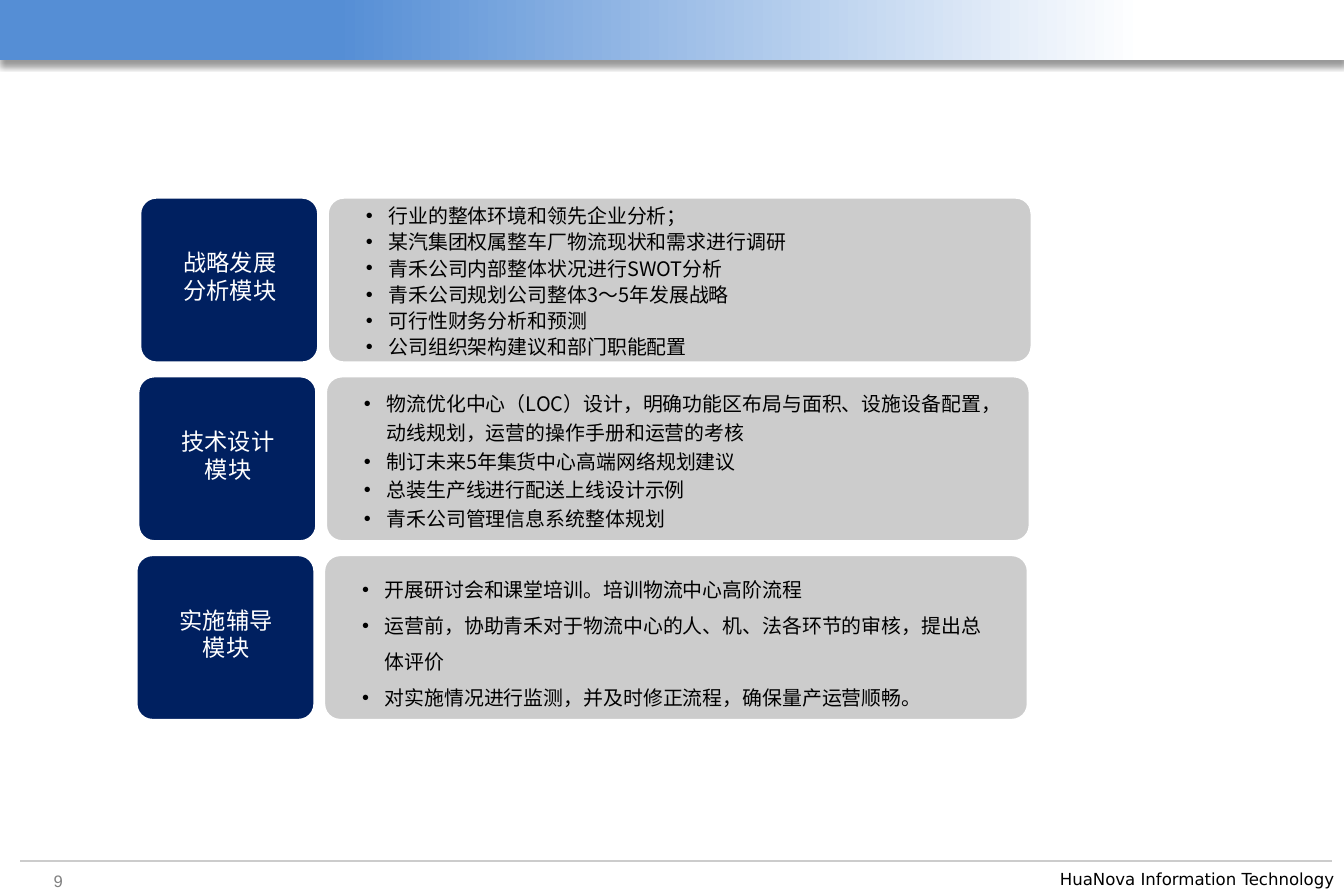
from lxml.etree import SubElement
from pptx import Presentation
from pptx.dml.color import RGBColor
from pptx.enum.shapes import MSO_CONNECTOR as Connector, MSO_SHAPE as Shape
from pptx.enum.text import MSO_ANCHOR as Anchor, PP_ALIGN as Align
from pptx.oxml.ns import qn
from pptx.util import Cm, Pt

WHITE = RGBColor(0xFF, 0xFF, 0xFF)
BLACK = RGBColor(0, 0, 0)
SKY = RGBColor(0x55, 0x8E, 0xD5)
NAVY = RGBColor(0x00, 0x20, 0x60)
SILVER = RGBColor(0xCC, 0xCC, 0xCC)
GREY = RGBColor(0x80, 0x80, 0x80)
CJK = "Noto Sans CJK SC"
SLIDE_WIDTH, SLIDE_HEIGHT = 28.58, 19.05
ROW_HEIGHT, ROW_PITCH, ROW_DRIFT = 3.53, 3.8, -0.04

MODULES = [
    (["战略发展", "分析模块"], 1.1, [
        "行业的整体环境和领先企业分析；",
        "某汽集团权属整车厂物流现状和需求进行调研",
        "青禾公司内部整体状况进行SWOT分析",
        "青禾公司规划公司整体3～5年发展战略",
        "可行性财务分析和预测",
        "公司组织架构建议和部门职能配置",
    ]),
    (["技术设计", "模块"], 1.2, [
        "物流优化中心（LOC）设计，明确功能区布局与面积、设施设备配置，动线规划，运营的操作手册和运营的考核",
        "制订未来5年集货中心高端网络规划建议",
        "总装生产线进行配送上线设计示例",
        "青禾公司管理信息系统整体规划",
    ]),
    (["实施辅导模块"], 1.5, [
        "开展研讨会和课堂培训。培训物流中心高阶流程",
        "运营前，协助青禾对于物流中心的人、机、法各环节的审核，提出总体评价",
        "对实施情况进行监测，并及时修正流程，确保量产运营顺畅。",
    ]),
]


def add_text(slide, box, lines, size=10, font=CJK, color=BLACK, align=Align.LEFT,
             anchor=Anchor.TOP, spacing=1.0, indent=None, wrap=True):
    frame = slide.shapes.add_textbox(*map(Cm, box)).text_frame
    frame.word_wrap = wrap
    frame.vertical_anchor = anchor
    for index, line in enumerate(lines):
        paragraph = frame.paragraphs[0] if index == 0 else frame.add_paragraph()
        paragraph.alignment = align
        paragraph.line_spacing = spacing
        if indent:
            properties = paragraph._p.get_or_add_pPr()
            properties.set("marL", str(Cm(indent)))
            properties.set("indent", str(-Cm(indent)))
            SubElement(properties, qn("a:buFont"), typeface="Arial")
            SubElement(properties, qn("a:buChar"), char="•")
        run = paragraph.add_run()
        run.text = line
        run.font.size = Pt(size)
        run.font.name = font
        run.font.color.rgb = color
        SubElement(run._r.get_or_add_rPr(), qn("a:ea"), typeface=CJK)


def add_header(slide, box):
    band = slide.shapes.add_shape(Shape.RECTANGLE, *map(Cm, box))
    band.line.fill.background()
    band.fill.gradient()
    band.fill.gradient_angle = 0
    for stop, position, color in zip(band.fill.gradient_stops, (0.25, 0.85), (SKY, WHITE)):
        stop.position = position
        stop.color.rgb = color
    band.shadow.inherit = False
    effects = band._element.spPr.find(qn("a:effectLst"))
    shadow = SubElement(effects, qn("a:outerShdw"), blurRad=str(Pt(4)), dist=str(Pt(3)),
                        dir="5400000", algn="t", rotWithShape="0")
    tone = SubElement(shadow, qn("a:srgbClr"), val=str(BLACK))
    SubElement(tone, qn("a:alpha"), val="40000")


def add_footer(slide, box):
    left, top, width, height = box
    rule = slide.shapes.add_connector(Connector.STRAIGHT, Cm(left), Cm(top),
                                      Cm(left + width), Cm(top))
    rule.line.color.rgb = SILVER
    rule.line.width = Pt(1)
    SubElement(rule._element.spPr, qn("a:effectLst"))
    add_text(slide, (left + 21.46, top + 0.05, 6.73, height), ["HuaNova Information Technology"],
             font="DejaVu Sans", align=Align.RIGHT, wrap=False)
    add_text(slide, (left + 0.46, top + 0.08, 1.6, height), ["9"], font="Arial", color=GREY)


def add_card(slide, box, color):
    card = slide.shapes.add_shape(Shape.ROUNDED_RECTANGLE, *map(Cm, box))
    card.adjustments[0] = 0.1
    card.fill.solid()
    card.fill.fore_color.rgb = color
    card.line.color.rgb = WHITE
    card.line.width = Pt(2)
    card.shadow.inherit = False


def add_module(slide, box, title, spacing, points):
    left, top, width, height = box
    add_card(slide, (left + 3.99, top, width - 3.99, height), SILVER)
    add_card(slide, (left, top, 3.81, height), NAVY)
    add_text(slide, (left + 0.65, top - 0.08, 2.54, height), title, size=14,
             font="Times New Roman", color=WHITE, align=Align.CENTER, anchor=Anchor.MIDDLE)
    add_text(slide, (left + 4.56, top, 13.79, height), points, size=12,
             anchor=Anchor.MIDDLE, spacing=spacing, indent=0.48)


def main():
    deck = Presentation()
    deck.slide_width, deck.slide_height = Cm(SLIDE_WIDTH), Cm(SLIDE_HEIGHT)
    slide = deck.slides.add_slide(deck.slide_layouts[6])
    slide.background.fill.solid()
    slide.background.fill.fore_color.rgb = WHITE
    add_footer(slide, (0.43, 18.31, 27.89, 0.69))
    add_header(slide, (0, 0, SLIDE_WIDTH, 1.27))
    for row, module in enumerate(MODULES):
        box = (2.97 + row * ROW_DRIFT, 4.19 + row * ROW_PITCH, 18.98, ROW_HEIGHT)
        add_module(slide, box, *module)
    deck.save("out.pptx")


if __name__ == "__main__":
    main()
